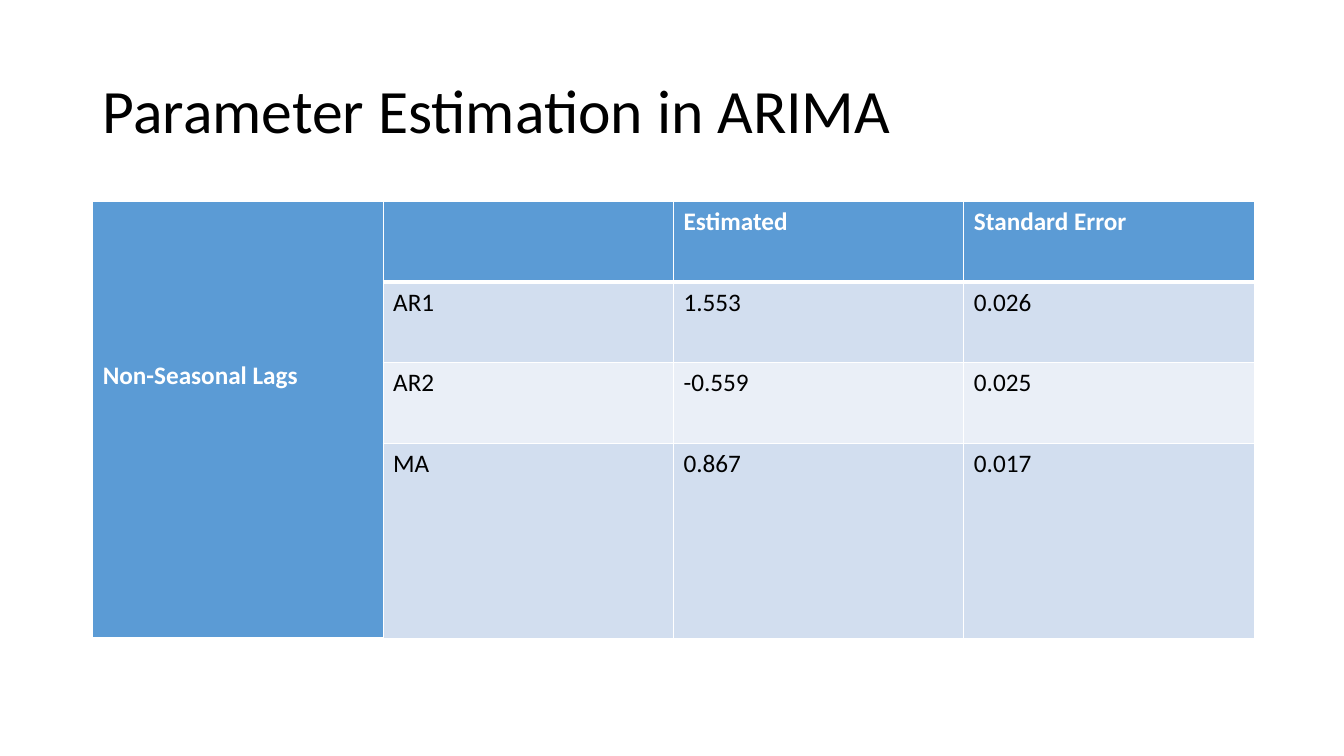
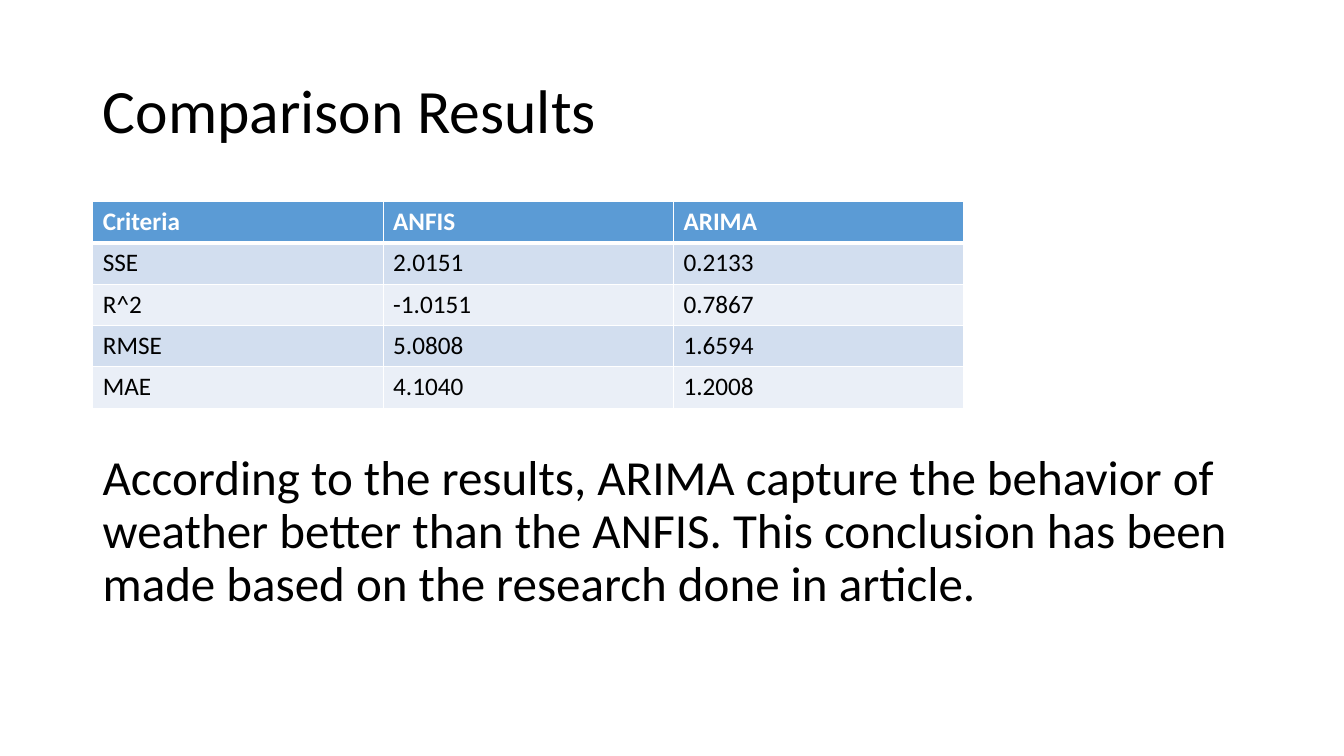
from lxml.etree import SubElement
from pptx import Presentation
from pptx.dml.color import RGBColor
from pptx.enum.text import MSO_ANCHOR, PP_ALIGN
from pptx.oxml.ns import qn
from pptx.util import Inches, Pt

COLORS = {
    "text": "000000",
    "white": "FFFFFF",
    "header": "5B9BD5",
    "odd": "D2DEEF",
    "even": "EAEFF7",
}
LEFT, WIDTH = 0.92, 11.5
TABLE_TOP, COLUMN_WIDTH = 2, 2.88
LABEL_OFFSET = 1.58

SLIDES = [
    {
        "title": "Parameter Estimation in ARIMA",
        "rows": [
            ["Non-Seasonal Lags", "", "Estimated", "Standard Error"],
            ["", "AR1", "1.553", "0.026"],
            ["", "AR2", "-0.559", "0.025"],
            ["", "MA", "0.867", "0.017"],
        ],
        "heights": [0.8, 0.8, 0.8, 1.92],
        "row_label": True,
        "conclusion": "",
    },
    {
        "title": "Comparison Results",
        "rows": [
            ["Criteria", "ANFIS", "ARIMA"],
            ["SSE", "2.0151", "0.2133"],
            ["R^2", "-1.0151", "0.7867"],
            ["RMSE", "5.0808", "1.6594"],
            ["MAE", "4.1040", "1.2008"],
        ],
        "heights": [0.41] * 5,
        "row_label": False,
        "conclusion": "According to the results, ARIMA capture the behavior of "
        "weather better than the ANFIS. This conclusion has been made based on "
        "the research done in article.",
    },
]


def write_text(frame, text, size, color="text", bold=False, spacing=1.0):
    para = frame.paragraphs[0]
    para.alignment = PP_ALIGN.LEFT
    para.line_spacing = spacing
    span = para.add_run()
    span.text = text
    formats = {"name": "Calibri", "size": Pt(size), "bold": bold}
    for name, value in formats.items():
        setattr(span.font, name, value)
    span.font.color.rgb = RGBColor.from_string(COLORS[color])


def style_cell(cell, fill, borders):
    properties = cell._tc.get_or_add_tcPr()
    for side, width in borders.items():
        line = SubElement(properties, qn(f"a:ln{side}"), w=str(Pt(width)))
        solid = SubElement(line, qn("a:solidFill"))
        SubElement(solid, qn("a:srgbClr"), val=COLORS["white"])
    cell.fill.solid()
    cell.fill.fore_color.rgb = RGBColor.from_string(COLORS[fill])


deck = Presentation()
deck.slide_width = Inches(13.33)
deck.slide_height = Inches(7.5)

for content in SLIDES:
    page = deck.slides.add_slide(deck.slide_layouts[5])
    title = page.shapes.title
    position = {"left": LEFT, "top": 0.4, "width": WIDTH, "height": 1.45}
    for name, value in position.items():
        setattr(title, name, Inches(value))
    title.text_frame.vertical_anchor = MSO_ANCHOR.MIDDLE
    write_text(title.text_frame, content["title"], 44, spacing=0.9)

    rows, heights = content["rows"], content["heights"]
    column_count = len(rows[0])
    table = page.shapes.add_table(
        len(rows), column_count, Inches(LEFT), Inches(TABLE_TOP),
        Inches(COLUMN_WIDTH * column_count), Inches(sum(heights)),
    ).table
    for column in table.columns:
        column.width = Inches(COLUMN_WIDTH)
    for row_index, (values, height) in enumerate(zip(rows, heights)):
        table.rows[row_index].height = Inches(height)
        for column_index, value in enumerate(values):
            cell = table.cell(row_index, column_index)
            is_label = content["row_label"] and column_index == 0
            is_header = row_index == 0 or is_label
            fill = "header" if is_header else "odd" if row_index % 2 else "even"
            top = 3 if row_index == 1 and not is_label else 1
            bottom = 3 if row_index == 0 else 1
            style_cell(cell, fill, {"L": 1, "R": 1, "T": top, "B": bottom})
            if value:
                color = "white" if is_header else "text"
                write_text(cell.text_frame, value, 18, color, is_header)
            else:
                cell.text_frame.paragraphs[0].font.size = Pt(18)
    if content["row_label"]:
        label = table.cell(0, 0)
        label.merge(table.cell(len(rows) - 1, 0))
        label.margin_top = Inches(LABEL_OFFSET)

    if content["conclusion"]:
        box = page.shapes.add_textbox(
            Inches(LEFT), Inches(4.17), Inches(WIDTH), Inches(2.22)
        )
        box.text_frame.word_wrap = True
        box.text_frame.vertical_anchor = MSO_ANCHOR.MIDDLE
        write_text(box.text_frame, content["conclusion"], 35, spacing=0.9)

deck.save("out.pptx")
